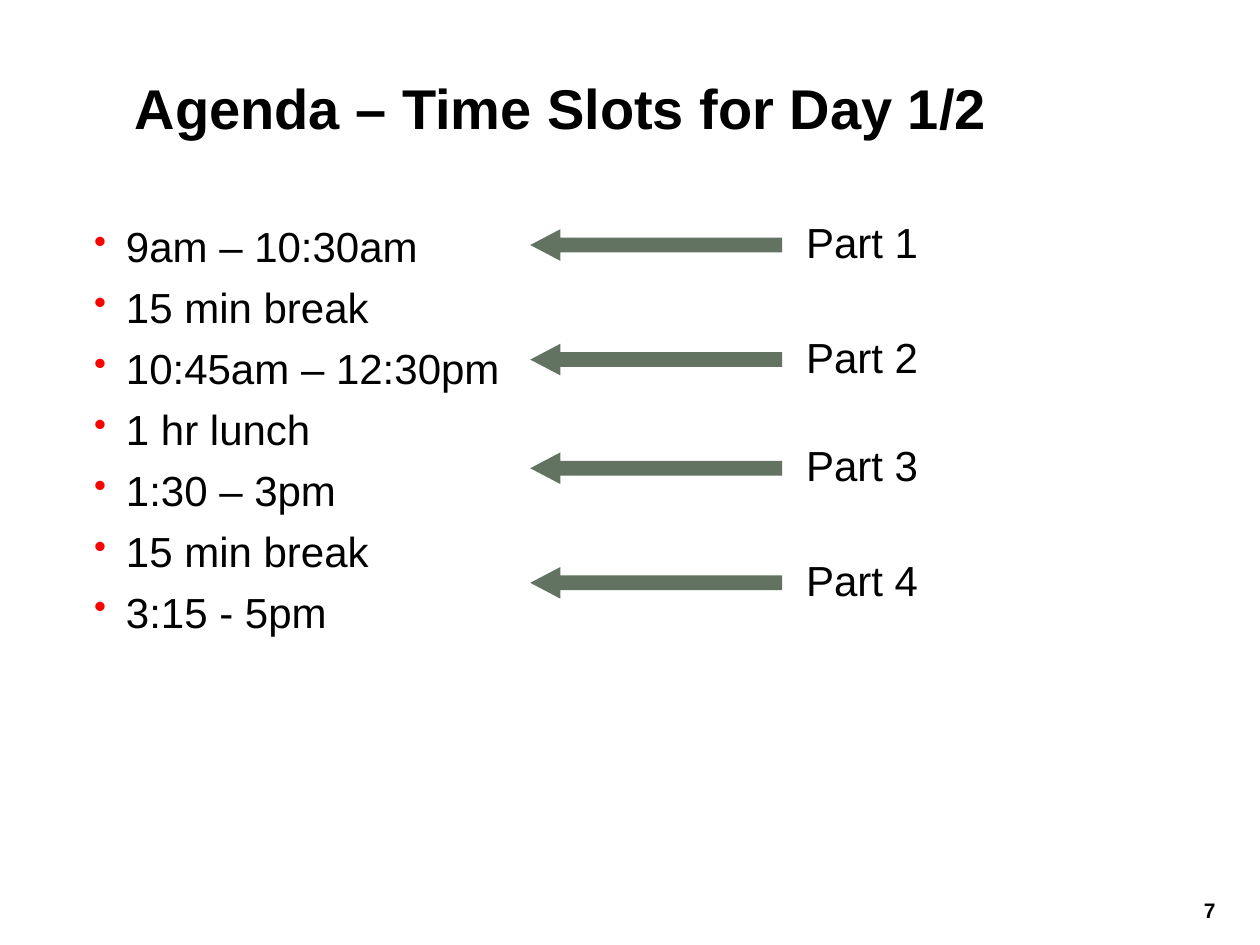
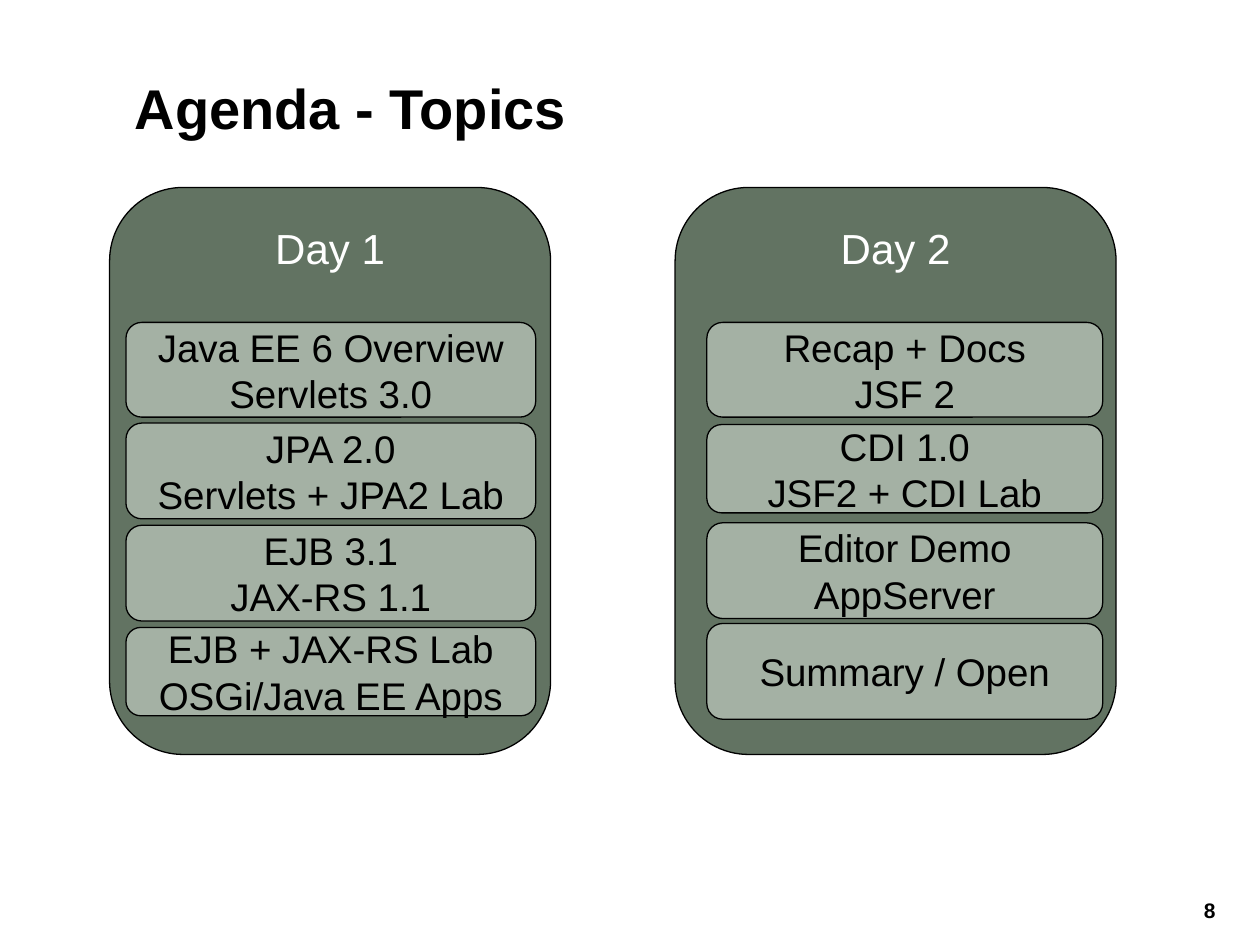
from lxml import etree
from pptx import Presentation
from pptx.dml.color import RGBColor
from pptx.enum.shapes import MSO_SHAPE
from pptx.enum.text import MSO_ANCHOR, MSO_AUTO_SIZE, PP_ALIGN
from pptx.oxml.ns import qn
from pptx.util import Cm, Pt

ROUNDED, LEFT_ARROW = MSO_SHAPE.ROUNDED_RECTANGLE, MSO_SHAPE.LEFT_ARROW
TOP, MIDDLE = MSO_ANCHOR.TOP, MSO_ANCHOR.MIDDLE
LEFT, CENTER = PP_ALIGN.LEFT, PP_ALIGN.CENTER
NO_AUTOFIT = MSO_AUTO_SIZE.NONE

BLACK = RGBColor(0x00, 0x00, 0x00)
WHITE = RGBColor(0xFF, 0xFF, 0xFF)
DARK_GREEN = RGBColor(0x62, 0x73, 0x62)
LIGHT_GREEN = RGBColor(0xA4, 0xB1, 0xA4)
BULLET_RED = "FD0000"
FONT = "Arial"
TITLE_ONLY = 5
FIRST_NUMBER = 7

TIME_SLOTS = ["9am – 10:30am", "15 min break", "10:45am – 12:30pm", "1 hr lunch",
              "1:30 – 3pm", "15 min break", "3:15 - 5pm"]
ARROW_TOPS = [4.62, 6.93, 9.12, 11.43]

# Each topic: top and height in cm, then its lines
DAY_1_TOPICS = [
    (6.5, 1.91, ["Java EE 6 Overview", "Servlets 3.0"]),
    (8.53, 1.93, ["JPA 2.0", "Servlets + JPA2 Lab"]),
    (10.59, 1.93, ["EJB 3.1", "JAX-RS 1.1"]),
    (12.65, 1.78, ["EJB + JAX-RS Lab", "OSGi/Java EE Apps"]),
]
DAY_2_TOPICS = [
    (6.5, 1.91, ["Recap + Docs", "JSF 2"]),
    (8.56, 1.78, ["CDI 1.0", "JSF2 + CDI Lab"]),
    (10.54, 1.93, ["Editor Demo", "AppServer"]),
    (12.57, 1.93, ["Summary / Open"]),
]


def write_lines(frame, lines, size, color=BLACK, align=LEFT, bold=False):
    """Fill the frame with one paragraph per line and return the paragraphs."""
    for index, line in enumerate(lines):
        paragraph = frame.add_paragraph() if index else frame.paragraphs[0]
        paragraph.alignment = align
        run = paragraph.add_run()
        run.text = line
        run.font.name, run.font.size, run.font.bold = FONT, Pt(size), bold
        run.font.color.rgb = color
    return frame.paragraphs


def add_text(slide, left, top, width, height, wrap=True):
    """Add an empty text box and return its frame."""
    frame = slide.shapes.add_textbox(Cm(left), Cm(top), Cm(width), Cm(height)).text_frame
    frame.word_wrap = wrap
    return frame


def add_block(slide, preset, left, top, width, height, fill):
    """Add a filled preset shape without outline or shadow."""
    block = slide.shapes.add_shape(preset, Cm(left), Cm(top), Cm(width), Cm(height))
    block.shadow.inherit = False
    block.fill.solid()
    block.fill.fore_color.rgb = fill
    block.line.fill.background()
    return block


def add_rounded_box(slide, left, top, width, height, fill, anchor):
    """Add a rounded box with a black hairline and return its text frame."""
    box = add_block(slide, ROUNDED, left, top, width, height, fill)
    box.line.color.rgb = BLACK
    box.line.width = Pt(0)
    box.text_frame.vertical_anchor = anchor
    return box.text_frame


def add_titled_slide(prs, title):
    """Add a slide with its title and running number."""
    slide = prs.slides.add_slide(prs.slide_layouts[TITLE_ONLY])
    heading = slide.shapes.title
    heading.left, heading.top = Cm(2.46), Cm(0.84)
    heading.width, heading.height = Cm(21.06), Cm(2.62)
    heading.text_frame.auto_size = NO_AUTOFIT
    heading.text_frame.vertical_anchor = MIDDLE
    write_lines(heading.text_frame, [title], 32, bold=True)

    number = str(FIRST_NUMBER + len(prs.slides) - 1)
    frame = add_text(slide, 23.75, 18.03, 1.27, 0.71)
    paragraph = write_lines(frame, [number], 12, align=CENTER, bold=True)[0]
    paragraph.line_spacing = 0.9
    paragraph.space_before = Pt(7.5)
    return slide


def add_bullet(paragraph):
    properties = paragraph._p.get_or_add_pPr()
    properties.set("marL", str(Cm(0.64)))
    properties.set("indent", str(-Cm(0.64)))
    color = etree.SubElement(properties, qn("a:buClr"))
    etree.SubElement(color, qn("a:srgbClr"), val=BULLET_RED)
    etree.SubElement(properties, qn("a:buSzPct"), val="85000")
    etree.SubElement(properties, qn("a:buChar"), char="•")


def add_time_slots(slide):
    frame = add_text(slide, 1.9, 4.45, 20.93, 12.57)
    frame.margin_left = frame.margin_right = frame.margin_top = frame.margin_bottom = 0
    for paragraph in write_lines(frame, TIME_SLOTS, 24):
        paragraph.space_before = Pt(6)
        add_bullet(paragraph)


def add_part(slide, number, top):
    """Add a part's label and the arrow to its time slot."""
    label = add_text(slide, 16, top - 0.38, 2.77, 1.27, wrap=False)
    write_lines(label, [f"Part {number}"], 24)
    arrow = add_block(slide, LEFT_ARROW, 10.69, top, 5.08, 0.64, DARK_GREEN)
    arrow.adjustments[0] = 0.465
    arrow.adjustments[1] = 0.952


def add_day(slide, name, panel_left, topic_left, topic_width, topics):
    """Add a day's panel with its stack of topics."""
    panel = add_rounded_box(slide, panel_left, 3.78, 8.89, 11.43, DARK_GREEN, TOP)
    panel.margin_top = Cm(0.27)
    write_lines(panel, [name], 24, WHITE, CENTER)
    for top, height, lines in topics:
        topic = add_rounded_box(slide, topic_left, top, topic_width, height,
                                LIGHT_GREEN, MIDDLE)
        write_lines(topic, lines, 22, align=CENTER)


def main():
    prs = Presentation()
    prs.slide_width, prs.slide_height = Cm(25.4), Cm(19.05)

    schedule = add_titled_slide(prs, "Agenda – Time Slots for Day 1/2")
    add_time_slots(schedule)
    for number, top in enumerate(ARROW_TOPS, start=1):
        add_part(schedule, number, top)

    overview = add_titled_slide(prs, "Agenda - Topics")
    add_day(overview, "Day 1", 2.21, 2.54, 8.26, DAY_1_TOPICS)
    add_day(overview, "Day 2", 13.61, 14.25, 7.98, DAY_2_TOPICS)

    prs.save("out.pptx")


if __name__ == "__main__":
    main()
